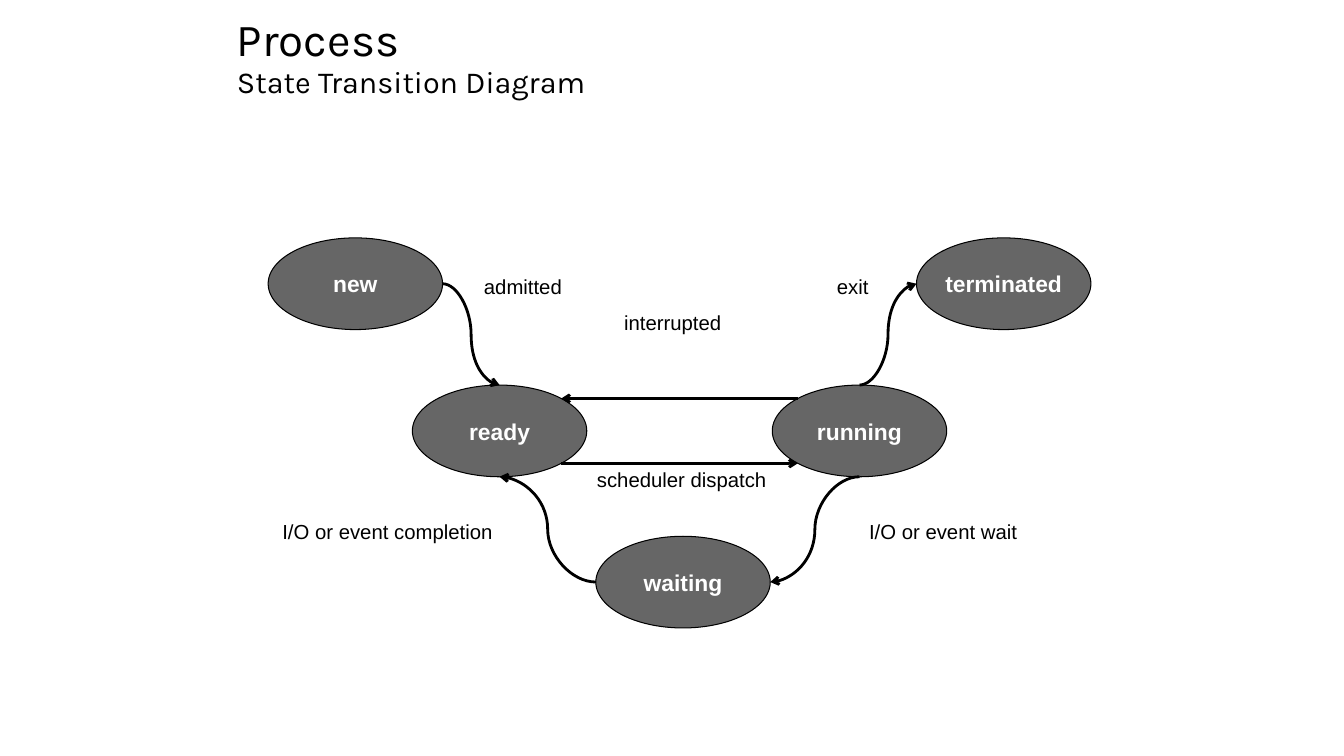
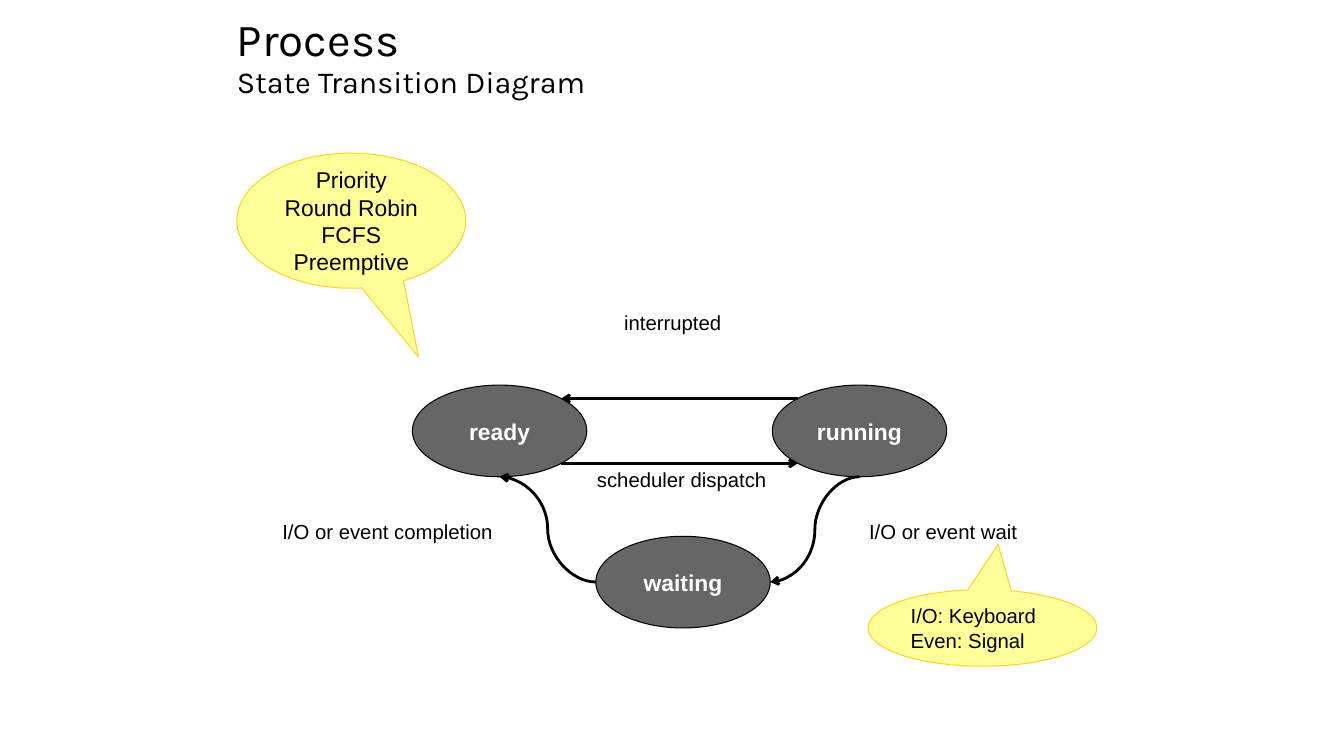
from dataclasses import dataclass
from math import cos, radians, sin

from lxml.etree import SubElement
from pptx import Presentation
from pptx.dml.color import RGBColor
from pptx.enum.shapes import MSO_CONNECTOR, MSO_SHAPE
from pptx.enum.text import MSO_ANCHOR, MSO_AUTO_SIZE, PP_ALIGN
from pptx.oxml.ns import qn
from pptx.util import Emu, Pt

PX = 9144  # EMU per px, 100 px to the inch


@dataclass(frozen=True)
class Theme:
    ink: RGBColor = RGBColor(0x00, 0x00, 0x00)
    paper: RGBColor = RGBColor(0xFF, 0xFF, 0xFF)
    state: RGBColor = RGBColor(0x66, 0x66, 0x66)
    note: RGBColor = RGBColor(0xFF, 0xFF, 0x99)
    note_edge: RGBColor = RGBColor(0xFF, 0xD3, 0x20)
    title_font: str = "Karla"
    body_font: str = "Arial"
    title_size: float = 32.7
    subtitle_size: float = 21.8
    state_size: float = 16.3
    label_size: float = 14.5
    hairline: int = 0


THEME = Theme()

# States: left and top of each oval
OVAL_W, OVAL_H = 173, 91
STATES = {
    "new": (266, 236),
    "terminated": (909, 236),
    "ready": (409, 382),
    "running": (766, 382),
    "waiting": (591, 532),
}

# Points on an oval, as clockwise angles from its right end
ANGLES = {"right": 0, "lower right": 45, "bottom": 90, "lower left": 135,
          "left": 180, "upper left": 225, "top": 270, "upper right": 315}

# Transitions: from, point, to, point, label, label box (left, top, width)
TRANSITIONS = [
    ("new", "right", "ready", "top", "admitted", (471, 268, 96)),
    ("running", "top", "terminated", "left", "exit", (821, 268, 50)),
    ("running", "upper left", "ready", "upper right", "interrupted", (610, 304, 115)),
    ("ready", "lower right", "running", "lower left", "scheduler dispatch", (583, 459, 188)),
    ("running", "bottom", "waiting", "right", "I/O or event wait", (853, 511, 166)),
    ("waiting", "left", "ready", "bottom", "I/O or event completion", (271, 511, 229)),
]
LABEL_H = 32


def px(*values):
    return [Emu(round(v * PX)) for v in values]


def style_run(r, font, size, color, bold=False):
    values = {"name": font, "size": Pt(size), "bold": bold}
    for name, value in values.items():
        setattr(r.font, name, value)
    r.font.color.rgb = color


def set_frame(tf, **changes):
    left, top = px(9, 4)
    values = {"word_wrap": False, "auto_size": MSO_AUTO_SIZE.NONE,
              "vertical_anchor": MSO_ANCHOR.MIDDLE,
              "margin_left": left, "margin_right": left,
              "margin_top": top, "margin_bottom": top}
    for name, value in (values | changes).items():
        setattr(tf, name, value)


def write_lines(tf, lines, align, size, color, bold=False):
    for i, line in enumerate(lines):
        p = tf.paragraphs[0] if i == 0 else tf.add_paragraph()
        p.alignment = align
        r = p.add_run()
        r.text = line
        style_run(r, THEME.body_font, size, color, bold)


def add_title(s, title, subtitle):
    sp = s.shapes.title
    sp.left, sp.top, sp.width, sp.height = px(235, 17, 1080, 82)
    set_frame(sp.text_frame, word_wrap=True, margin_left=0, margin_right=0,
              margin_top=0, margin_bottom=0)
    p = sp.text_frame.paragraphs[0]
    p.alignment, p.line_spacing = PP_ALIGN.LEFT, 0.9
    r = p.add_run()
    r.text = title
    style_run(r, THEME.title_font, THEME.title_size, THEME.ink)
    p.add_line_break()
    r = p.add_run()
    r.text = subtitle
    style_run(r, THEME.title_font, THEME.subtitle_size, THEME.ink)


def add_filled(s, kind, box, fill, edge):
    sp = s.shapes.add_shape(kind, *px(*box))
    sp.shadow.inherit = False
    sp.fill.solid()
    sp.fill.fore_color.rgb = fill
    sp.line.color.rgb = edge
    sp.line.width = Pt(THEME.hairline)
    set_frame(sp.text_frame)
    return sp


def add_state(s, name):
    sp = add_filled(s, MSO_SHAPE.OVAL, (*STATES[name], OVAL_W, OVAL_H),
                    THEME.state, THEME.ink)
    write_lines(sp.text_frame, [name], PP_ALIGN.CENTER,
                THEME.state_size, THEME.paper, bold=True)


def oval_point(name, point):
    left, top = STATES[name]
    angle = radians(ANGLES[point])
    return (left + OVAL_W / 2 * (1 + cos(angle)),
            top + OVAL_H / 2 * (1 + sin(angle)))


def add_arrow(s, start, end):
    level = round(start[1]) == round(end[1])
    kind = MSO_CONNECTOR.STRAIGHT if level else MSO_CONNECTOR.CURVE
    line = s.shapes.add_connector(kind, *px(*start, *end))
    line.line.color.rgb = THEME.ink
    line.line.width = Pt(THEME.hairline)
    props = line._element.spPr
    SubElement(props.find(qn("a:ln")), qn("a:tailEnd"), type="arrow")
    SubElement(props, qn("a:effectLst"))


def add_label(s, text, left, top, width):
    tf = s.shapes.add_textbox(*px(left, top, width, LABEL_H)).text_frame
    set_frame(tf, auto_size=MSO_AUTO_SIZE.SHAPE_TO_FIT_TEXT,
              vertical_anchor=MSO_ANCHOR.TOP)
    write_lines(tf, [text], PP_ALIGN.LEFT, THEME.label_size, THEME.ink)


def add_callout(s, box, tip, lines, align, size):
    left, top, width, height = box
    sp = add_filled(s, MSO_SHAPE.OVAL_CALLOUT, box, THEME.note, THEME.note_edge)
    # The tip is given as a share of the size, from the centre
    sp.adjustments[0] = (tip[0] - left) / width - 0.5
    sp.adjustments[1] = (tip[1] - top) / height - 0.5
    write_lines(sp.text_frame, lines, align, size, THEME.ink)


def add_diagram_slide(prs, states):
    s = prs.slides.add_slide(prs.slide_layouts[5])
    add_title(s, "Process", "State Transition Diagram")
    for name in states:
        add_state(s, name)
    # Only transitions between states on this slide
    for source, out, target, into, text, place in TRANSITIONS:
        if source in states and target in states:
            add_arrow(s, oval_point(source, out), oval_point(target, into))
            add_label(s, text, *place)
    return s


def main():
    prs = Presentation()
    prs.slide_width, prs.slide_height = px(1333, 750)

    # Full life cycle
    add_diagram_slide(prs, list(STATES))

    # Scheduling states with notes
    s = add_diagram_slide(prs, ["ready", "running", "waiting"])
    add_callout(s, (235, 152, 227, 134), (415, 354),
                ["Priority", "Round Robin", "FCFS", "Preemptive"],
                PP_ALIGN.CENTER, THEME.state_size)
    add_callout(s, (861, 585, 227, 76), (990, 540),
                ["I/O: Keyboard", "Even: Signal"],
                PP_ALIGN.LEFT, THEME.label_size)

    prs.save("out.pptx")


if __name__ == "__main__":
    main()
